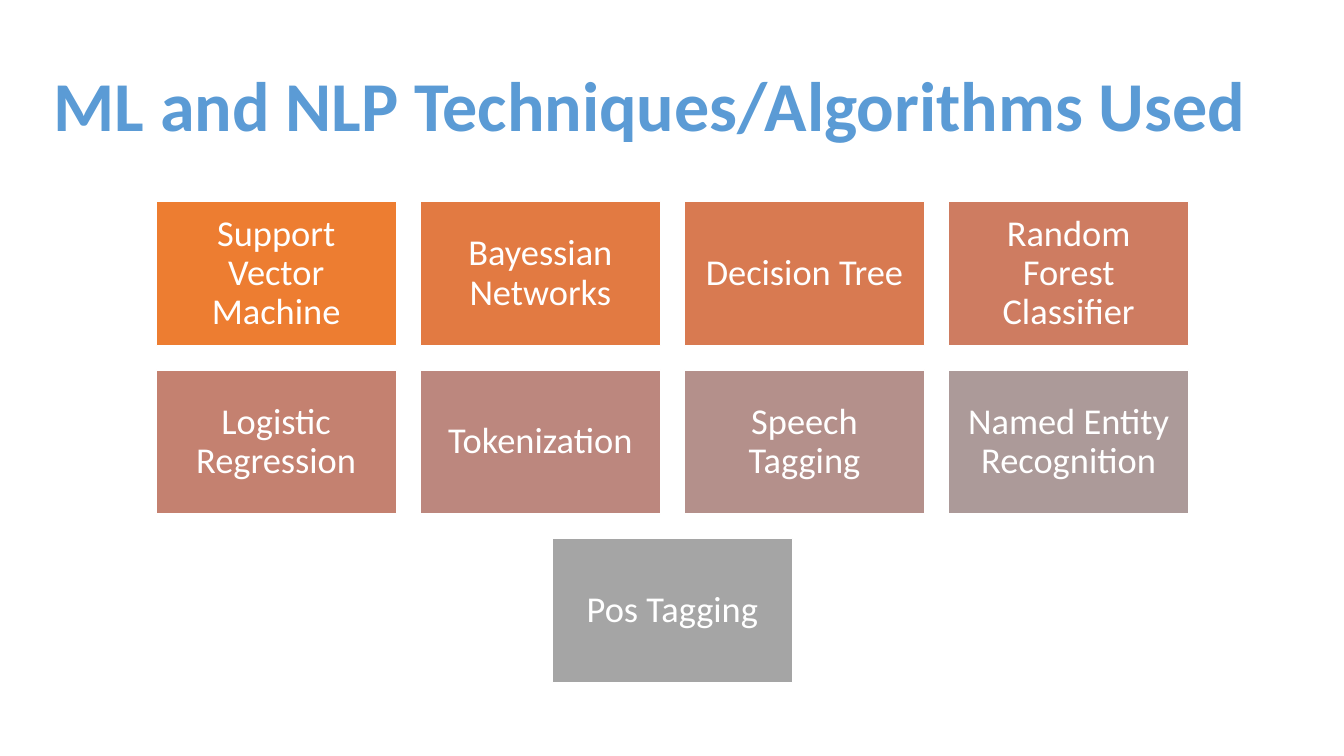
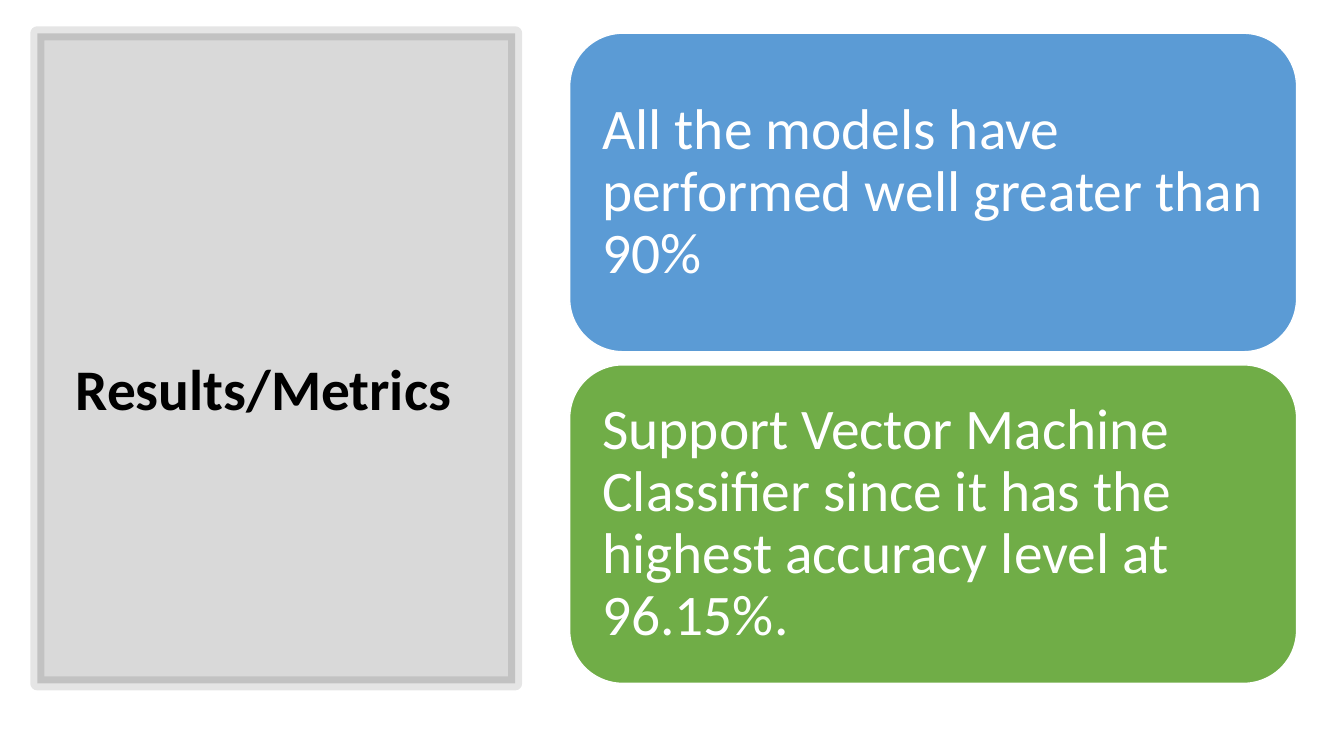
from dataclasses import dataclass
from lxml.etree import SubElement
from pptx import Presentation
from pptx.dml.color import RGBColor
from pptx.enum.shapes import MSO_SHAPE
from pptx.enum.text import MSO_ANCHOR, MSO_AUTO_SIZE, PP_ALIGN
from pptx.oxml.ns import qn
from pptx.util import Inches, Pt

WHITE = RGBColor(0xFF, 0xFF, 0xFF)
BLACK = RGBColor(0x00, 0x00, 0x00)
BLUE = RGBColor(0x5B, 0x9B, 0xD5)
GREEN = RGBColor(0x70, 0xAD, 0x47)
FONT = "Calibri"


@dataclass
class Box:
    left: float
    top: float
    width: float
    height: float

    def place(self) -> tuple:
        return tuple(Inches(n) for n in (self.left, self.top, self.width, self.height))


@dataclass
class Style:
    size: int
    color: RGBColor = WHITE
    bold: bool = False
    align: PP_ALIGN = PP_ALIGN.LEFT


@dataclass
class Card:
    text: str
    fill: RGBColor


ROWS = (
    (
        Card("Support Vector Machine", RGBColor(0xED, 0x7D, 0x31)),
        Card("Bayessian Networks", RGBColor(0xE2, 0x7A, 0x42)),
        Card("Decision Tree", RGBColor(0xD8, 0x7A, 0x51)),
        Card("Random Forest Classifier", RGBColor(0xCE, 0x7C, 0x61)),
    ),
    (
        Card("Logistic Regression", RGBColor(0xC4, 0x81, 0x70)),
        Card("Tokenization", RGBColor(0xBC, 0x87, 0x7E)),
        Card("Speech Tagging", RGBColor(0xB4, 0x90, 0x8B)),
        Card("Named Entity Recognition", RGBColor(0xAC, 0x9A, 0x99)),
    ),
    (Card("Pos Tagging", RGBColor(0xA5, 0xA5, 0xA5)),),
)
RESULTS = (
    Card("All the models have performed well greater than 90%", BLUE),
    Card(
        "Support Vector Machine Classifier since it has the highest "
        "accuracy level at 96.15%.",
        GREEN,
    ),
)


def write(frame, text: str, style: Style) -> None:
    frame.word_wrap = True
    frame.auto_size = MSO_AUTO_SIZE.NONE
    frame.vertical_anchor = MSO_ANCHOR.MIDDLE
    para = frame.paragraphs[0]
    para.alignment = style.align
    para.line_spacing = 0.9
    run = para.add_run()
    run.text = text
    font = run.font
    font.name = FONT
    font.size = Pt(style.size)
    font.bold = style.bold
    font.color.rgb = style.color


def add_title(slide, box: Box, text: str, style: Style, drop: float = 0) -> None:
    title = slide.shapes.title
    title.left, title.top, title.width, title.height = box.place()
    write(title.text_frame, text, style)
    title.text_frame.margin_top = Inches(0.05 + drop)


def add_box(slide, kind: MSO_SHAPE, box: Box, fill: RGBColor, line: RGBColor, weight: int):
    shape = slide.shapes.add_shape(kind, *box.place())
    shape.shadow.inherit = False
    shape.fill.solid()
    shape.fill.fore_color.rgb = fill
    shape.line.color.rgb = line
    shape.line.width = Pt(weight)
    return shape


def add_card(slide, kind: MSO_SHAPE, box: Box, card: Card, style: Style, inset: float) -> None:
    frame = add_box(slide, kind, box, card.fill, WHITE, 1).text_frame
    frame.margin_left = frame.margin_right = Inches(inset)
    frame.margin_top = frame.margin_bottom = Inches(inset)
    write(frame, card.text, style)


def add_panel(slide, box: Box) -> None:
    panel = add_box(slide, MSO_SHAPE.RECTANGLE, box, BLACK, BLACK, 10)
    props = panel.element.spPr
    for parent, share in ((props, 15), (props.find(qn("a:ln")), 10)):
        color = parent.find(qn("a:solidFill")).find(qn("a:srgbClr"))
        SubElement(color, qn("a:alpha")).set("val", str(share * 1000))
    tree = slide.shapes.title.element.getparent()
    tree.remove(panel.element)
    slide.shapes.title.element.addprevious(panel.element)


def draw_grid(slide) -> None:
    add_title(
        slide,
        Box(0.43, 0.35, 12.48, 1.45),
        "ML and NLP Techniques/Algorithms Used",
        Style(50, BLUE, True),
    )
    width, height, gap, middle = 2.38, 1.43, 0.24, 6.67
    style = Style(26, align=PP_ALIGN.CENTER)
    for i, row in enumerate(ROWS):
        left = middle - (len(row) * (width + gap) - gap) / 2
        for j, card in enumerate(row):
            box = Box(left + j * (width + gap), 2 + i * (height + gap), width, height)
            add_card(slide, MSO_SHAPE.RECTANGLE, box, card, style, 0.11)


def draw_results(slide) -> None:
    add_title(
        slide,
        Box(0.65, 0.7, 4.16, 5.75),
        "Results/Metrics",
        Style(41, BLACK, True),
        0.62,
    )
    add_panel(slide, Box(0.37, 0.33, 4.74, 6.45))
    for i, card in enumerate(RESULTS):
        box = Box(5.65, 0.33 + i * 3.29, 7.21, 3.16)
        add_card(slide, MSO_SHAPE.ROUNDED_RECTANGLE, box, card, Style(41), 0.17)


def main() -> None:
    deck = Presentation()
    deck.slide_width = Inches(13.33)
    deck.slide_height = Inches(7.5)
    for draw in (draw_grid, draw_results):
        draw(deck.slides.add_slide(deck.slide_layouts[5]))
    deck.save("out.pptx")


if __name__ == "__main__":
    main()
